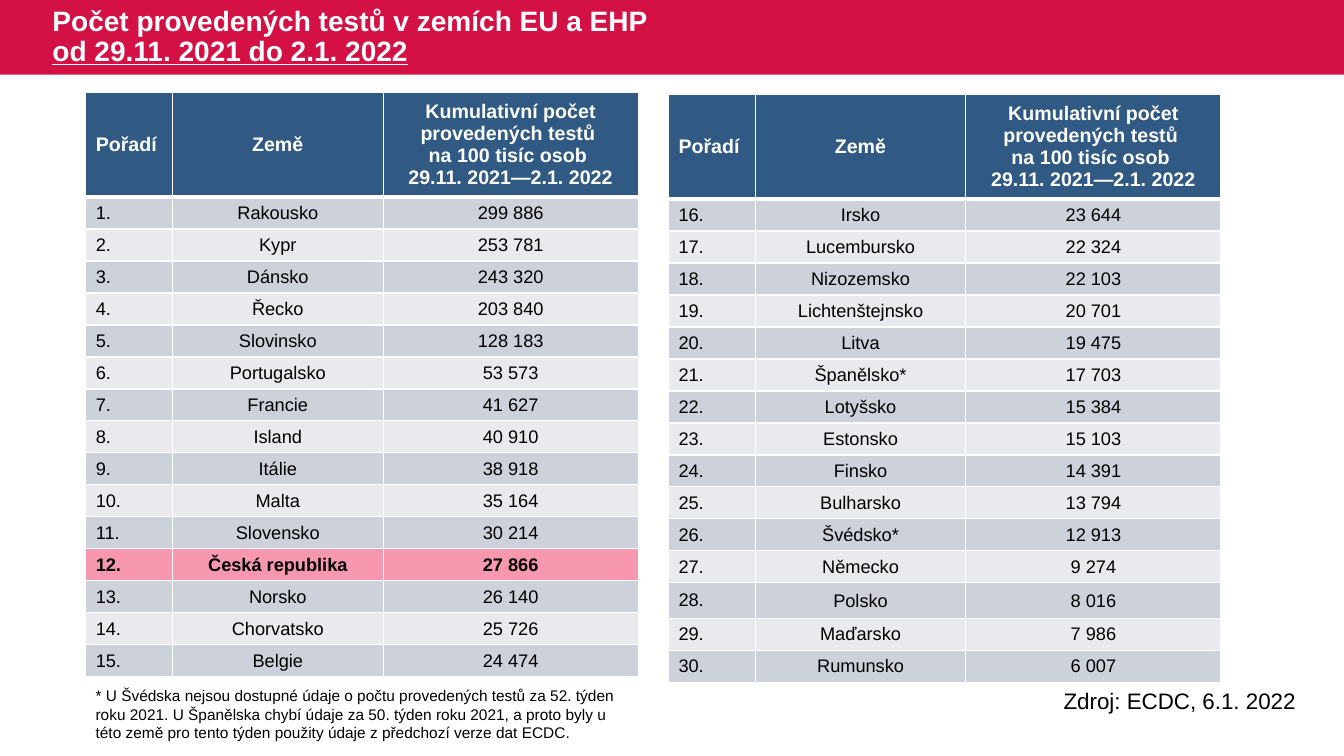
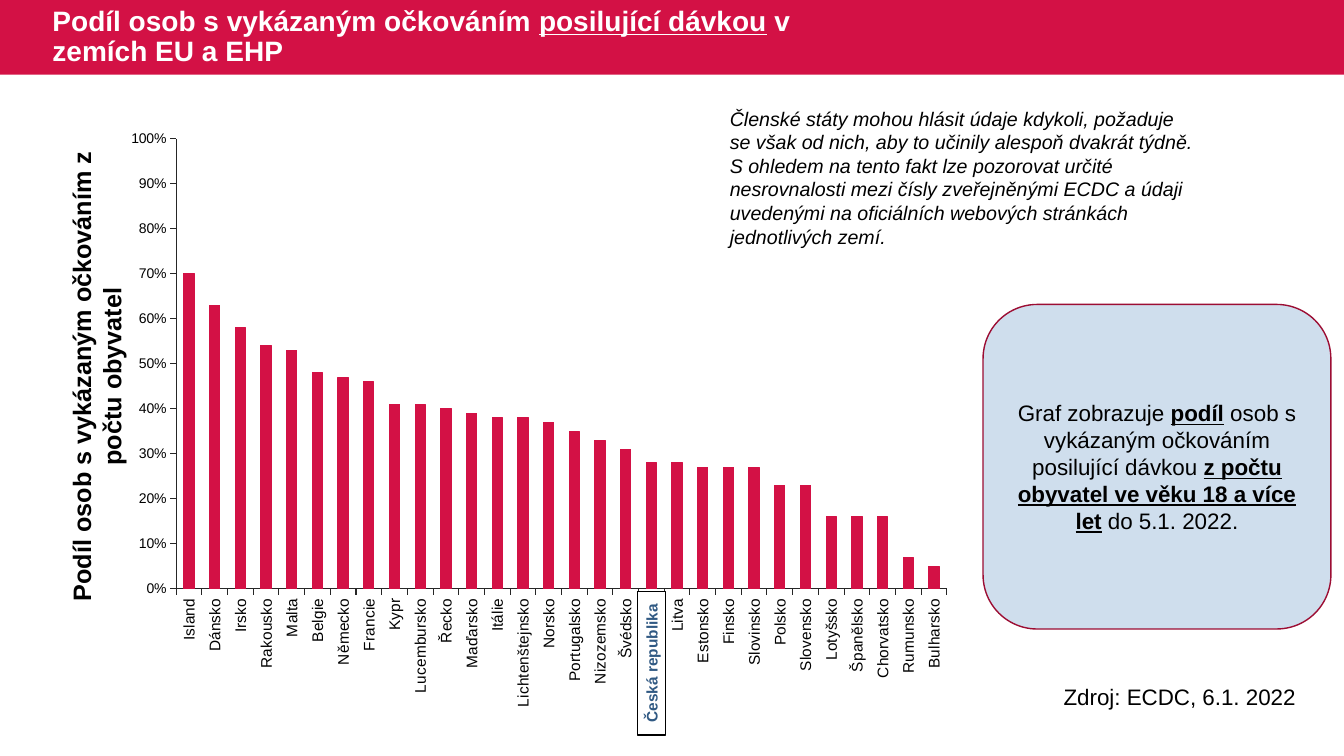
from pptx import Presentation
from pptx.chart.data import CategoryChartData
from pptx.dml.color import RGBColor
from pptx.enum.chart import XL_CHART_TYPE, XL_TICK_MARK
from pptx.enum.shapes import MSO_SHAPE
from pptx.enum.text import MSO_ANCHOR, MSO_AUTO_SIZE, PP_ALIGN
from pptx.oxml import parse_xml
from pptx.oxml.ns import nsdecls
from pptx.util import Emu, Pt

EMU_PER_PX = 9144  # 100 px to the inch
SLIDE_WIDTH, SLIDE_HEIGHT = 1333, 750
BAND_HEIGHT = 74
TITLE_ONLY_LAYOUT = 5

COLUMN_CLUSTERED = XL_CHART_TYPE.COLUMN_CLUSTERED
TICK_OUTSIDE = XL_TICK_MARK.OUTSIDE
RECTANGLE = MSO_SHAPE.RECTANGLE
ROUNDED_RECTANGLE = MSO_SHAPE.ROUNDED_RECTANGLE
TOP, MIDDLE = MSO_ANCHOR.TOP, MSO_ANCHOR.MIDDLE
NO_AUTOSIZE, GROW = MSO_AUTO_SIZE.NONE, MSO_AUTO_SIZE.SHAPE_TO_FIT_TEXT
LEFT, CENTER = PP_ALIGN.LEFT, PP_ALIGN.CENTER

FONT = "Arial"
BLACK, WHITE = "000000", "FFFFFF"
CRIMSON, DARK_CRIMSON, PINK = "D31145", "9C0D33", "F797B0"
NAVY, PALE_BLUE = "305983", "CFDEED"
ROW_FILLS = ("CDD1D9", "E8EAED")
AXIS_GREY = "262626"

SOURCE = "Zdroj: ECDC, 6.1. 2022"
HIGHLIGHT = "Česká republika"
COLUMN_WIDTHS = (86, 209, 253)
HEADER_HEIGHT, ROW_HEIGHT = 97, 30
HEADERS = (
    "Pořadí",
    "Země",
    ["Kumulativní počet provedených testů ", "na 100 tisíc osob ", "29.11. 2021—2.1. 2022"],
)
TESTS = [
    ("Rakousko", "299 886"), ("Kypr", "253 781"), ("Dánsko", "243 320"),
    ("Řecko", "203 840"), ("Slovinsko", "128 183"), ("Portugalsko", "53 573"),
    ("Francie", "41 627"), ("Island", "40 910"), ("Itálie", "38 918"),
    ("Malta", "35 164"), ("Slovensko", "30 214"), ("Česká republika", "27 866"),
    ("Norsko", "26 140"), ("Chorvatsko", "25 726"), ("Belgie", "24 474"),
    ("Irsko", "23 644"), ("Lucembursko", "22 324"), ("Nizozemsko", "22 103"),
    ("Lichtenštejnsko", "20 701"), ("Litva", "19 475"), ("Španělsko*", "17 703"),
    ("Lotyšsko", "15 384"), ("Estonsko", "15 103"), ("Finsko", "14 391"),
    ("Bulharsko", "13 794"), ("Švédsko*", "12 913"), ("Německo", "9 274"),
    ("Polsko", "8 016"), ("Maďarsko", "7 986"), ("Rumunsko", "6 007"),
]
HALF = len(TESTS) // 2
BOOSTER_SHARES = {
    "Island": 0.7, "Dánsko": 0.63, "Irsko": 0.58, "Rakousko": 0.54, "Malta": 0.53,
    "Belgie": 0.48, "Německo": 0.47, "Francie": 0.46, "Kypr": 0.41,
    "Lucembursko": 0.41, "Řecko": 0.4, "Maďarsko": 0.39, "Itálie": 0.38,
    "Lichtenštejnsko": 0.38, "Norsko": 0.37, "Portugalsko": 0.35,
    "Nizozemsko": 0.33, "Švédsko": 0.31, "Česká republika": 0.28, "Litva": 0.28,
    "Estonsko": 0.27, "Finsko": 0.27, "Slovinsko": 0.27, "Polsko": 0.23,
    "Slovensko": 0.23, "Lotyšsko": 0.16, "Španělsko": 0.16, "Chorvatsko": 0.16,
    "Rumunsko": 0.07, "Bulharsko": 0.05,
}


def px(length):
    return Emu(length * EMU_PER_PX)


def box(*lengths):
    return [px(length) for length in lengths]


def rgb(color):
    return RGBColor.from_string(color)


def paint(target, color):
    target.fill.solid()
    target.fill.fore_color.rgb = rgb(color)


def style_font(font, size, color=BLACK, bold=False, italic=False, underline=False):
    font.name = FONT
    font.size = Pt(size)
    font.color.rgb = rgb(color)
    font.bold, font.italic, font.underline = bold, italic, underline


def write_text(frame, text, align=LEFT, anchor=TOP, spacing=None, **font_format):
    """Text is a string or a list of paragraphs; a paragraph is a string
    or a list of strings and (string, font changes) pairs."""
    frame.vertical_anchor = anchor
    paragraphs = [text] if isinstance(text, str) else text
    for index, runs in enumerate(paragraphs):
        paragraph = frame.add_paragraph() if index else frame.paragraphs[0]
        paragraph.alignment = align
        if spacing:
            paragraph.line_spacing = spacing
        for part in [runs] if isinstance(runs, str) else runs:
            if part == "\n":
                paragraph.add_line_break()
                continue
            content, changes = (part, {}) if isinstance(part, str) else part
            run = paragraph.add_run()
            run.text = content
            style_font(run.font, **{**font_format, **changes})


def add_text(slide, place, text, rotation=0, **text_format):
    shape = slide.shapes.add_textbox(*box(*place))
    shape.rotation = rotation
    shape.text_frame.word_wrap = True
    shape.text_frame.auto_size = GROW
    write_text(shape.text_frame, text, **text_format)


def add_panel(slide, preset, place, fill, line=None, rotation=0):
    shape = slide.shapes.add_shape(preset, *box(*place))
    shape.shadow.inherit = False
    shape.rotation = rotation
    paint(shape, fill)
    if line:
        shape.line.color.rgb = rgb(line)
        shape.line.width = Pt(1)
    else:
        shape.line.fill.background()
    return shape


# Shared parts: the layout holds the band and the place of the title
def prepare_layout(presentation):
    layout = presentation.slide_layouts[TITLE_ONLY_LAYOUT]
    title = next(shape for shape in layout.placeholders if shape.placeholder_format.idx == 0)
    title.left, title.top, title.width, title.height = box(42, 0, 816, BAND_HEIGHT)
    return layout


def move_band_to_layout(slide, layout):
    band = add_panel(slide, RECTANGLE, (0, 0, SLIDE_WIDTH, BAND_HEIGHT), CRIMSON)
    layout.shapes._spTree.insert(2, band._element)


def add_titled_slide(presentation, layout, title_runs, source_top):
    slide = presentation.slides.add_slide(layout)
    frame = slide.shapes.title.text_frame
    frame.auto_size = NO_AUTOSIZE
    write_text(frame, [title_runs], anchor=MIDDLE, spacing=0.9,
               size=20, color=WHITE, bold=True)
    add_text(slide, (1045, source_top, 288, 37), SOURCE, size=16)
    return slide


# Table of countries
def set_borders(cell, bottom):
    properties = cell._tc.get_or_add_tcPr()
    for side, width in (("L", 1), ("R", 1), ("T", 1), ("B", bottom)):
        properties.append(parse_xml(
            f'<a:ln{side} {nsdecls("a")} w="{Pt(width)}"><a:solidFill>'
            f'<a:srgbClr val="{WHITE}"/></a:solidFill></a:ln{side}>'))


def fill_cell(cell, text, fill, bottom=1, **text_format):
    set_borders(cell, bottom)
    paint(cell, fill)
    cell.vertical_anchor = MIDDLE
    write_text(cell.text_frame, text, anchor=None, **text_format)


def add_ranking(slide, left, top, first_rank, entries):
    height = HEADER_HEIGHT + ROW_HEIGHT * len(entries)
    table = slide.shapes.add_table(
        len(entries) + 1, len(HEADERS),
        *box(left, top, sum(COLUMN_WIDTHS), height)).table
    table.horz_banding = False
    for column, width in zip(table.columns, COLUMN_WIDTHS):
        column.width = px(width)
    table.rows[0].height = px(HEADER_HEIGHT)
    for column, header in enumerate(HEADERS):
        fill_cell(table.cell(0, column), header, NAVY, bottom=3,
                  align=CENTER if column else LEFT, size=14, color=WHITE, bold=True)

    for row, (country, tests) in enumerate(entries, 1):
        table.rows[row].height = px(35 if country == "Polsko" else ROW_HEIGHT)
        marked = country == HIGHLIGHT
        fill = PINK if marked else ROW_FILLS[(row - 1) % 2]
        rank = f"{first_rank + row - 1}."
        for column, text in enumerate((rank, country, tests)):
            cell = table.cell(row, column)
            if column:
                cell.margin_left = cell.margin_top = cell.margin_right = px(1)
                cell.margin_bottom = 0
            fill_cell(cell, text, fill, align=CENTER if column else LEFT,
                      size=13, bold=marked)


# Chart of booster shares
def style_axis(axis, size):
    axis.has_major_gridlines = False
    axis.major_tick_mark = TICK_OUTSIDE
    axis.format.line.color.rgb = rgb(AXIS_GREY)
    axis.format.line.width = Pt(0.75)
    style_font(axis.tick_labels.font, size)


def set_plot_area(chart, x, y, width, height):
    plot_area = chart._chartSpace.chart.plotArea
    for layout in plot_area.findall("{*}layout"):
        plot_area.remove(layout)
    plot_area.insert(0, parse_xml(
        f'<c:layout {nsdecls("c")}><c:manualLayout><c:layoutTarget val="inner"/>'
        '<c:xMode val="edge"/><c:yMode val="edge"/>'
        f'<c:x val="{x}"/><c:y val="{y}"/><c:w val="{width}"/><c:h val="{height}"/>'
        '</c:manualLayout></c:layout>'))


def add_share_chart(slide, place, shares):
    data = CategoryChartData(number_format="0%")
    data.categories = shares.keys()
    data.add_series("Series 1", shares.values())
    chart = slide.shapes.add_chart(COLUMN_CLUSTERED, *box(*place), data).chart
    chart.has_legend = chart.has_title = False
    style_font(chart.font, 10)
    set_plot_area(chart, 0.07, 0.05, 0.91, 0.75)

    plot = chart.plots[0]
    plot.gap_width = 150
    plot.vary_by_categories = False
    bars = plot.series[0].format
    paint(bars, CRIMSON)
    bars.line.color.rgb = rgb(CRIMSON)
    bars.line.width = Pt(0.75)

    style_axis(chart.category_axis, 11)
    label_body = chart.category_axis._element.txPr.bodyPr
    label_body.set("rot", "-5400000")
    label_body.set("vert", "horz")
    values = chart.value_axis
    style_axis(values, 10)
    values.minimum_scale, values.maximum_scale, values.major_unit = 0, 1, 0.1
    values.tick_labels.number_format = "0%"
    values.tick_labels.number_format_is_linked = False


def build_tests_slide(presentation, layout):
    slide = add_titled_slide(presentation, layout, [
        "Počet provedených testů v zemích EU a EHP ", "\n",
        ("od 29.11. 2021 do 2.1. 2022", {"underline": True})], 677)
    add_ranking(slide, 85, 92, 1, TESTS[:HALF])
    add_ranking(slide, 663, 94, HALF + 1, TESTS[HALF:])
    add_text(slide, (85, 676, 548, 66),
             "* U Švédska nejsou dostupné údaje o počtu provedených testů za 52. týden "
             "roku 2021. U Španělska chybí údaje za 50. týden roku 2021, a proto byly u "
             "této země pro tento týden použity údaje z předchozí verze dat ECDC.", size=11)
    return slide


def build_booster_slide(presentation, layout):
    slide = add_titled_slide(presentation, layout, [
        "Podíl osob s vykázaným očkováním ",
        ("posilující dávkou", {"underline": True}), " v zemích EU a EHP"], 673)
    add_text(slide, (-155, 338, 502, 71), "Podíl osob s vykázaným očkováním z počtu obyvatel",
             rotation=270, align=CENTER, size=18, bold=True)
    add_share_chart(slide, (116, 108, 840, 595), BOOSTER_SHARES)

    # Explanation and the framed country label
    strong = {"bold": True, "underline": True}
    panel = add_panel(slide, ROUNDED_RECTANGLE, (975, 302, 345, 322), PALE_BLUE, DARK_CRIMSON)
    write_text(panel.text_frame, [[
        "Graf zobrazuje ", ("podíl", strong),
        " osob s vykázaným očkováním posilující dávkou ",
        ("z počtu obyvatel ve věku 18 a více let", strong), " do 5.1. 2022."]],
        align=CENTER, anchor=MIDDLE, size=16)
    label = add_panel(slide, RECTANGLE, (575, 644, 142, 28), WHITE, BLACK, rotation=270)
    label.text_frame.word_wrap = False
    write_text(label.text_frame, HIGHLIGHT, align=CENTER, anchor=MIDDLE,
               size=11, color=NAVY, bold=True)
    add_text(slide, (714, 101, 486, 151),
             "Členské státy mohou hlásit údaje kdykoli, požaduje se však od nich, aby to "
             "učinily alespoň dvakrát týdně. S ohledem na tento fakt lze pozorovat určité "
             "nesrovnalosti mezi čísly zveřejněnými ECDC a údaji uvedenými na oficiálních "
             "webových stránkách jednotlivých zemí.", size=14, italic=True)


def main():
    presentation = Presentation()
    presentation.slide_width, presentation.slide_height = box(SLIDE_WIDTH, SLIDE_HEIGHT)
    layout = prepare_layout(presentation)
    tests_slide = build_tests_slide(presentation, layout)
    move_band_to_layout(tests_slide, layout)
    build_booster_slide(presentation, layout)
    presentation.save("out.pptx")


if __name__ == "__main__":
    main()
